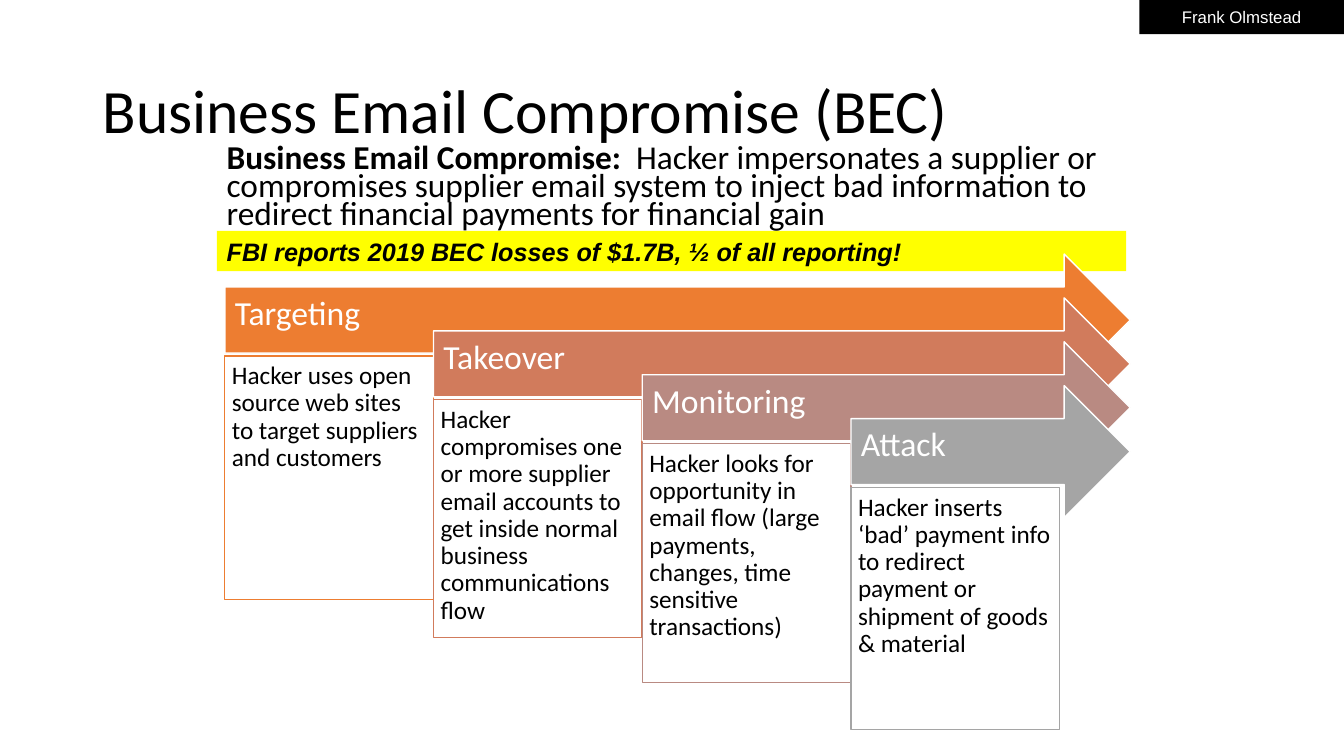
from pptx import Presentation
from pptx.dml.color import RGBColor
from pptx.enum.shapes import MSO_SHAPE as Shape
from pptx.enum.text import MSO_ANCHOR as Anchor, PP_ALIGN as Align
from pptx.util import Inches, Pt

COLORS = {
    "black": "000000", "white": "FFFFFF", "highlight": "FFFF00",
    "targeting": "ED7D31", "takeover": "D17B5C",
    "monitoring": "B98A82", "attack": "A5A5A5",
}

# heading, detail, detail box height
STAGES = [
    ("Targeting", "Hacker uses open source web sites to target suppliers "
     "and customers", 2.42),
    ("Takeover", "Hacker compromises one or more supplier email accounts to "
     "get inside normal business communications flow", 2.36),
    ("Monitoring", "Hacker looks for opportunity in email flow (large "
     "payments, changes, time sensitive transactions)", 2.37),
    ("Attack", "Hacker inserts ‘bad’ payment info to redirect payment or "
     "shipment of goods & material", 2.4),
]


def rgb(name):
    return RGBColor.from_string(COLORS[name])


def write(sp, runs, size, font="Calibri", color="black", anchor=Anchor.TOP,
          insets=(0.1, 0.05, 0.1, 0.05), **paragraph):
    """Fill a shape with one paragraph of (text, font formats) runs."""
    tf = sp.text_frame
    tf.word_wrap = True
    tf.vertical_anchor = anchor
    for side, inset in zip(("left", "top", "right", "bottom"), insets):
        setattr(tf, f"margin_{side}", Inches(inset))
    p = tf.paragraphs[0]
    for key, value in ({"alignment": Align.LEFT} | paragraph).items():
        setattr(p, key, value)
    for text, formats in runs:
        r = p.add_run()
        r.text = text
        r.font.color.rgb = rgb(color)
        base = {"size": Pt(size), "name": font}
        for key, value in (base | formats).items():
            setattr(r.font, key, value)


def add_text(slide, box, runs, size, **formats):
    write(slide.shapes.add_textbox(*map(Inches, box)), runs, size, **formats)


def add_block(slide, kind, box, fill, line=None):
    sp = slide.shapes.add_shape(kind, *map(Inches, box))
    sp.shadow.inherit = False
    sp.fill.solid()
    sp.fill.fore_color.rgb = rgb(fill)
    if line:
        sp.line.color.rgb = rgb(line)
        sp.line.width = Pt(1)
    else:
        sp.line.fill.background()
    return sp


def add_banner(slide, box):
    sp = add_block(slide, Shape.RECTANGLE, box, "highlight")
    write(sp, [("FBI reports 2019 BEC losses of $1.7B, ½ of all reporting!",
                {"bold": True, "italic": True})],
          18, font="Arial", anchor=Anchor.BOTTOM)


def add_stages(slide, left, top, width, arrow_height):
    """Staircase of arrows that share a right edge, each above its detail."""
    column, row = 2.07, 0.435
    for i, (heading, detail, height) in enumerate(STAGES):
        x, y = left + i * column, top + i * row
        color = heading.lower()
        arrow = add_block(slide, Shape.RIGHT_ARROW,
                          (x, y, width - i * column, arrow_height),
                          color, "white")
        write(arrow, [(heading, {})], 24, color="white", anchor=Anchor.MIDDLE,
              insets=(0.1, 0.1, 0.28, 0.21), line_spacing=0.9)
        card = add_block(slide, Shape.RECTANGLE,
                         (x, y + 1.01, column, height), "white", color)
        write(card, [(detail, {})], 18, insets=(0.07,) * 4, line_spacing=0.9)


def add_definition(slide, box):
    add_text(slide, box, [
        ("Business Email Compromise:  ", {"bold": True}),
        ("Hacker impersonates a supplier or compromises supplier email "
         "system to inject bad information to redirect financial payments "
         "for financial gain", {}),
    ], 23.8, line_spacing=0.7, space_before=Pt(10))


def add_title(slide, box):
    add_text(slide, box, [("Business Email Compromise (BEC)", {})], 44,
             anchor=Anchor.MIDDLE, line_spacing=0.9)


def add_name_tag(slide, box):
    sp = add_block(slide, Shape.RECTANGLE, box, "black")
    write(sp, [("Frank Olmstead", {})], 12, font="Arial", color="white",
          anchor=Anchor.MIDDLE, alignment=Align.CENTER)


def main():
    prs = Presentation()
    prs.slide_width, prs.slide_height = Inches(13.33), Inches(7.5)
    slide = prs.slides.add_slide(prs.slide_layouts[6])
    add_banner(slide, (2.15, 2.29, 9.02, 0.4))
    add_stages(slide, 2.23, 2.52, 8.98, 1.31)
    add_definition(slide, (2.15, 1.41, 9.02, 1))
    add_title(slide, (0.92, 0.4, 11.5, 1.45))
    add_name_tag(slide, (11.3, 0, 2.03, 0.34))
    prs.save("out.pptx")


if __name__ == "__main__":
    main()
